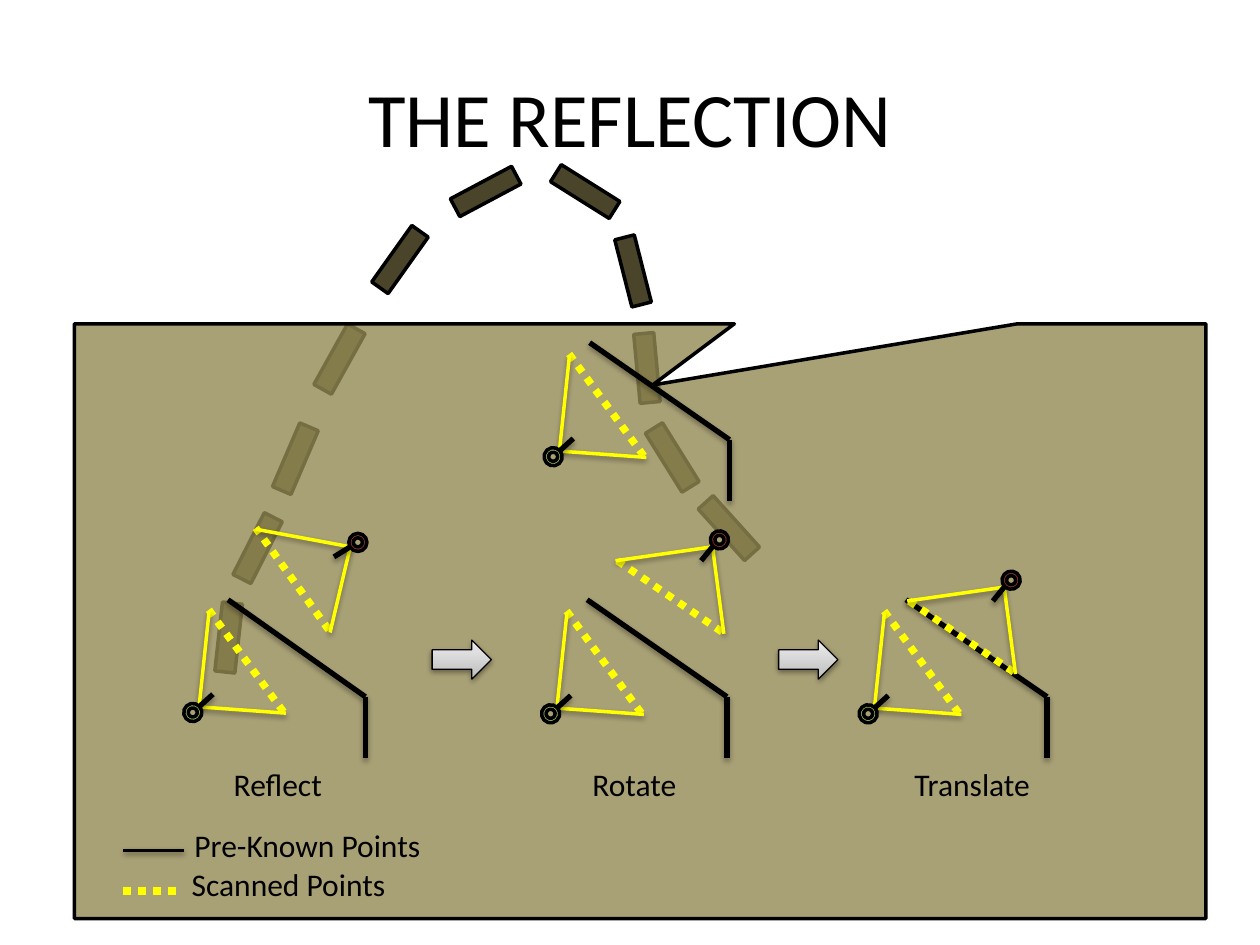
from lxml.etree import SubElement
from pptx import Presentation
from pptx.dml.color import RGBColor
from pptx.enum.dml import MSO_LINE
from pptx.enum.shapes import MSO_CONNECTOR, MSO_SHAPE
from pptx.enum.text import MSO_ANCHOR, PP_ALIGN
from pptx.oxml.ns import qn
from pptx.util import Inches, Pt

WIDE, HIGH = Inches(10), Inches(7.5)
CELL = WIDE / 100  # the grid has 100 columns and 75 rows
COLORS = {
    "ink": "000000", "scan": "FFFF00", "stone": "4A452A", "ground": "948A54",
    "green": "9BBB59", "red": "953735", "dark": "BDBDBD", "light": "EEEEEE",
}

# Centre column, centre row and turn of each stepping stone
STONES = [
    (18.15, 50.6, 276.3), (20.45, 43.5, 296.9), (23.45, 36.4, 293.2),
    (26.95, 28.5, 299.1), (31.75, 20.6, 305.4), (38.55, 15.2, 332),
    (46.45, 15.2, 212.1), (50.25, 21.5, 255.7), (51.35, 29.2, 264.7),
    (53.35, 36.3, 238.1), (57.85, 41.9, 228),
]

# Offsets from the apex of a scan: two rays, dotted ends, pointer, eye
POSES = {
    "upright": {"rays": [(6.9, 0.5), (0.8, -7.6)], "dots": [(6.7, 0.4), (0.7, -7.8)],
                "hand": (1.1, -1), "eye": (-0.5, 0.45), "turn": 47.2, "fill": "green"},
    "mirror": {"rays": [(-1.6, 6.8), (-7.5, -1.4)], "dots": [(-1.7, 6.6), (-7.5, -1.5)],
               "hand": (-1.3, 0.8), "eye": (0.6, -0.35), "turn": 60.1, "fill": "red"},
    "turned": {"rays": [(0.9, 6.9), (-7.7, 1.1)], "dots": [(0.75, 6.75), (-7.7, 1)],
               "hand": (-0.9, 1.1), "eye": (0.55, -0.55), "turn": 40.3, "fill": "red"},
}

# Apex of the upright scan, corner and reach of its wall
SCENES = [
    ((15.8, 56.1), (29, 55.3), 10.9),
    ((69.4, 56.2), (83.1, 55.3), 11.2),
    ((44.2, 56.2), (57.7, 55.3), 11.1),
    ((44.4, 35.8), (57.9, 34.9), 11.1),
]
MOVES = [("mirror", (27.8, 43.4)), ("turned", (79.7, 46.6)), ("turned", (56.55, 43.4))]
LABELS = [
    ("Reflect", 13.8, 60.2, 16.5), ("Rotate", 42.1, 60.2, 16.5),
    ("Translate", 68.9, 60.2, 16.5),
    ("Pre-Known Points", 10.6, 65.1, 27.6), ("Scanned Points", 9.1, 68.2, 27.6),
]


def cells(*counts):
    return [round(count * CELL) for count in counts]


def color(name):
    return RGBColor.from_string(COLORS[name])


def shift(point, step):
    return point[0] + step[0], point[1] + step[1]


def add_glow(effects, alpha, drop):
    """Put a soft shadow below into an effect list."""
    glow = SubElement(effects, qn("a:outerShdw"), blurRad="40000", dist=str(drop),
                      dir="5400000", rotWithShape="0")
    tint = SubElement(glow, qn("a:srgbClr"), val=COLORS["ink"])
    SubElement(tint, qn("a:alpha"), val=str(alpha * 1000))


def add_block(slide, kind, box, fill=None, width=2, turn=0):
    block = slide.shapes.add_shape(kind, *cells(*box))
    block.shadow.inherit = False
    block.rotation = turn
    if fill:
        block.fill.solid()
        block.fill.fore_color.rgb = color(fill)
    block.line.color.rgb = color("ink")
    block.line.width = Pt(width)
    return block


def add_line(slide, start, end, name, width, dotted=False):
    line = slide.shapes.add_connector(MSO_CONNECTOR.STRAIGHT, *cells(*start, *end))
    line.line.color.rgb = color(name)
    line.line.width = Pt(width)
    effects = SubElement(line._element.spPr, qn("a:effectLst"))
    if dotted:
        line.line.dash_style = MSO_LINE.ROUND_DOT
    elif width > 2:
        add_glow(effects, 35, 23000)
    else:
        add_glow(effects, 38, 20000)


def add_scan(slide, apex, pose):
    start, end = [shift(apex, step) for step in pose["dots"]]
    add_line(slide, start, end, "scan", 4.25, dotted=True)
    for ray in pose["rays"]:
        add_line(slide, apex, shift(apex, ray), "scan", 2)
    add_line(slide, apex, shift(apex, pose["hand"]), "ink", 3)
    left, top = shift(shift(apex, pose["eye"]), (-0.72, -0.72))
    add_block(slide, MSO_SHAPE.DONUT, (left, top, 1.44, 1.44), pose["fill"],
              turn=pose["turn"])


def add_wall(slide, corner, reach):
    for step in [(-reach, -7.7), (0, 4.9)]:
        add_line(slide, corner, shift(corner, step), "ink", 3)


def add_arrow(slide, left):
    arrow = add_block(slide, MSO_SHAPE.RIGHT_ARROW, (left, 50.8, 4.7, 3.1), width=0.75)
    arrow.fill.gradient()
    arrow.fill.gradient_angle = 90
    for stop, name, place in zip(arrow.fill.gradient_stops, ("dark", "light"), (0, 1)):
        stop.color.rgb = color(name)
        stop.position = place
    add_glow(arrow._element.spPr.find(qn("a:effectLst")), 38, 20000)


def add_ground(slide):
    box = (5.9, 25.7, 89.8, 47.2)
    ground = add_block(slide, MSO_SHAPE.RECTANGULAR_CALLOUT, box, "ground")
    ground.adjustments[0] = 0.011
    ground.adjustments[1] = -0.397
    tint = ground._element.spPr.find(qn("a:solidFill")).find(qn("a:srgbClr"))
    SubElement(tint, qn("a:alpha"), val="80000")


def set_text(frame, text, size):
    frame.text = text
    frame.word_wrap = True
    line = frame.paragraphs[0]
    line.alignment = PP_ALIGN.CENTER
    font = line.runs[0].font
    font.name, font.size = "Calibri", Pt(size)
    font.color.rgb = color("ink")


def set_title(slide, text):
    title = slide.shapes.title
    title.left, title.top, title.width, title.height = cells(5, 3, 90, 12.5)
    set_text(title.text_frame, text, 44)
    title.text_frame.vertical_anchor = MSO_ANCHOR.MIDDLE


def add_label(slide, text, left, top, width):
    box = slide.shapes.add_textbox(*cells(left, top, width, 4))
    set_text(box.text_frame, text, 18)


def main():
    deck = Presentation()
    deck.slide_width, deck.slide_height = WIDE, HIGH
    slide = deck.slides.add_slide(deck.slide_layouts[5])
    set_title(slide, "THE REFLECTION")
    for col, row, turn in STONES:
        box = (col - 2.75, row - 0.8, 5.5, 1.6)
        add_block(slide, MSO_SHAPE.RECTANGLE, box, "stone", turn=turn)
    add_ground(slide)
    for left in (34.3, 61.8):
        add_arrow(slide, left)
    for apex, corner, reach in SCENES:
        add_scan(slide, apex, POSES["upright"])
        add_wall(slide, corner, reach)
    for pose, apex in MOVES:
        add_scan(slide, apex, POSES[pose])
    add_line(slide, (9.8, 67.5), (14.6, 67.5), "ink", 2)
    add_line(slide, (9.8, 70.7), (14.5, 70.7), "scan", 4.25, dotted=True)
    for label in LABELS:
        add_label(slide, *label)
    deck.save("out.pptx")


if __name__ == "__main__":
    main()
